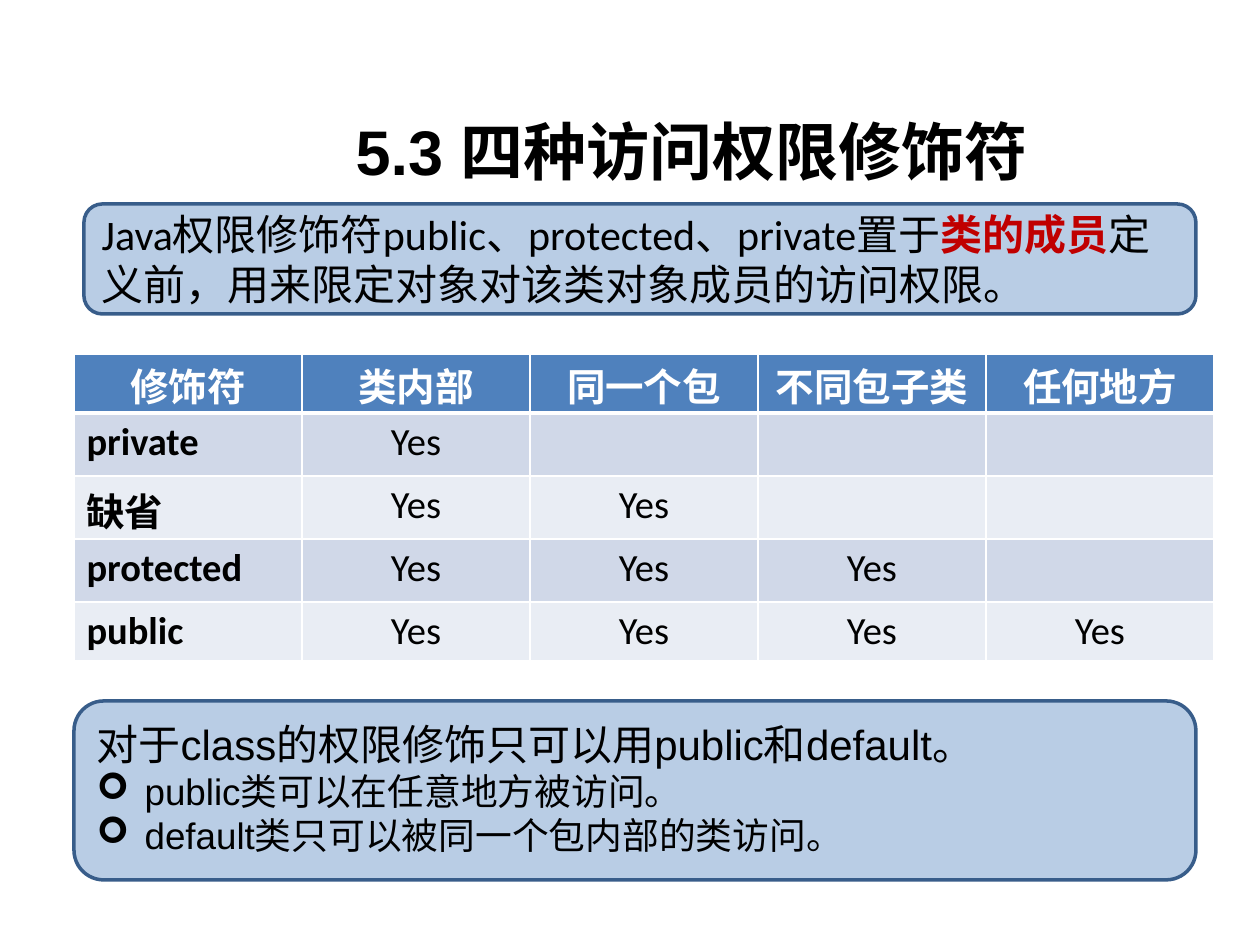
from lxml.etree import SubElement
from pptx import Presentation
from pptx.dml.color import RGBColor
from pptx.enum.shapes import MSO_SHAPE as Shape
from pptx.enum.text import MSO_ANCHOR as Anchor, MSO_AUTO_SIZE as AutoSize, PP_ALIGN as Align
from pptx.oxml.ns import qn
from pptx.util import Pt

PX = 914400 // 126
COLORS = {
    "black": "000000", "white": "FFFFFF", "red": "C00000", "panel": "B9CDE5",
    "outline": "385D8A", "header": "4F81BD", "odd": "D0D8E8", "even": "E9EDF4",
}
CJK_FONT = "Noto Sans CJK SC"


def add_span(para, text, color="black", **formats):
    """Add a run with the given font values and the Chinese font."""
    span = para.add_run()
    span.text = text
    span.font.color.rgb = RGBColor.from_string(COLORS[color])
    for key, value in formats.items():
        setattr(span.font, key, value)
    latin = span.font._element.find(qn("a:latin"))
    latin.addnext(latin.makeelement(qn("a:ea"), {"typeface": CJK_FONT}))


def place(item, left, top, width, height):
    """Set position and size from whole pixels."""
    item.left, item.top, item.width, item.height = (
        n * PX for n in (left, top, width, height))


deck = Presentation()
deck.slide_width, deck.slide_height = 1260 * PX, 945 * PX
page = deck.slides.add_slide(deck.slide_layouts[1])
title, notes = page.placeholders

# Rounded panels
panels = []
for bounds in [(74, 701, 1122, 179), (84, 204, 1112, 110)]:
    panel = page.shapes.add_shape(Shape.ROUNDED_RECTANGLE, 0, 0, 0, 0)
    place(panel, *bounds)
    panel.shadow.inherit = False
    panel.fill.solid()
    panel.fill.fore_color.rgb = RGBColor.from_string(COLORS["panel"])
    panel.line.color.rgb = RGBColor.from_string(COLORS["outline"])
    panel.line.width = Pt(2)
    panels.append(panel)

intro = panels[1].text_frame
intro.word_wrap = True
intro.vertical_anchor = Anchor.MIDDLE
para = intro.paragraphs[0]
para.alignment = Align.LEFT
for text, color, bold in [
    ("Java权限修饰符public、protected、private置于", "black", False),
    ("类的成员", "red", True),
    ("定义前，用来限定对象对该类对象成员的访问权限。", "black", False),
]:
    add_span(para, text, color, name="Calibri", size=Pt(24), bold=bold)

# Title and list sit above the panels
for box, bounds in [(title, (343, 106, 725, 89)), (notes, (84, 712, 1121, 158))]:
    place(box, *bounds)
    box.text_frame.auto_size = AutoSize.NONE
    box.text_frame.vertical_anchor = Anchor.TOP
    page.shapes._spTree.append(box._element)

para = title.text_frame.paragraphs[0]
para.alignment = Align.LEFT
add_span(para, "5.3 四种访问权限修饰符", name="Arial", size=Pt(36), bold=True)

for index, (text, size, bullet) in enumerate([
    ("对于class的权限修饰只可以用public和default。", 24, None),
    ("public类可以在任意地方被访问。", 21, "➢"),
    ("default类只可以被同一个包内部的类访问。", 21, "➢"),
]):
    para = notes.text_frame.add_paragraph() if index else notes.text_frame.paragraphs[0]
    para.space_before = Pt(0)
    add_span(para, text, name="Arial", size=Pt(size))
    props = para._p.get_or_add_pPr()
    indent = 48 * PX if bullet else 0
    props.set("marL", str(indent))
    props.set("indent", str(-indent))
    if bullet:
        SubElement(props, qn("a:buFont"), typeface="Wingdings")
        SubElement(props, qn("a:buChar"), char=bullet)
    else:
        SubElement(props, qn("a:buNone"))

# Access table: each modifier with the number of places that can reach it
headings = ["修饰符", "类内部", "同一个包", "不同包子类", "任何地方"]
modifiers = ["private", "缺省", "protected", "public"]
rows = [headings] + [
    [name] + ["Yes"] * reach + [""] * (4 - reach)
    for reach, name in enumerate(modifiers, 1)
]
table = page.shapes.add_table(5, 5, 74 * PX, 354 * PX, 1140 * PX, 307 * PX).table
for column in table.columns:
    column.width = 228 * PX
for row, height in zip(table.rows, [59, 63, 63, 63, 59]):
    row.height = height * PX

for r, texts in enumerate(rows):
    is_header = r == 0
    fill = "header" if is_header else "odd" if r % 2 else "even"
    for c, text in enumerate(texts):
        cell = table.cell(r, c)
        cell.margin_top = (3 if is_header else 6) * PX
        cell.margin_bottom = 0
        cell.fill.solid()
        cell.fill.fore_color.rgb = RGBColor.from_string(COLORS[fill])
        props = cell._tc.get_or_add_tcPr()
        widths = {"L": 1, "R": 1, "T": 3 if r == 1 else 1, "B": 3 if is_header else 1}
        for position, (side, width) in enumerate(widths.items()):
            border = props.makeelement(qn(f"a:ln{side}"), {"w": str(Pt(width))})
            paint = SubElement(border, qn("a:solidFill"))
            SubElement(paint, qn("a:srgbClr"), val=COLORS["white"])
            props.insert(position, border)
        para = cell.text_frame.paragraphs[0]
        para.alignment = Align.CENTER if is_header or c else Align.LEFT
        if text:
            add_span(para, text, "white" if is_header else "black",
                     name=CJK_FONT if is_header else "Calibri",
                     size=Pt(22), bold=is_header or c == 0)

deck.save("out.pptx")
